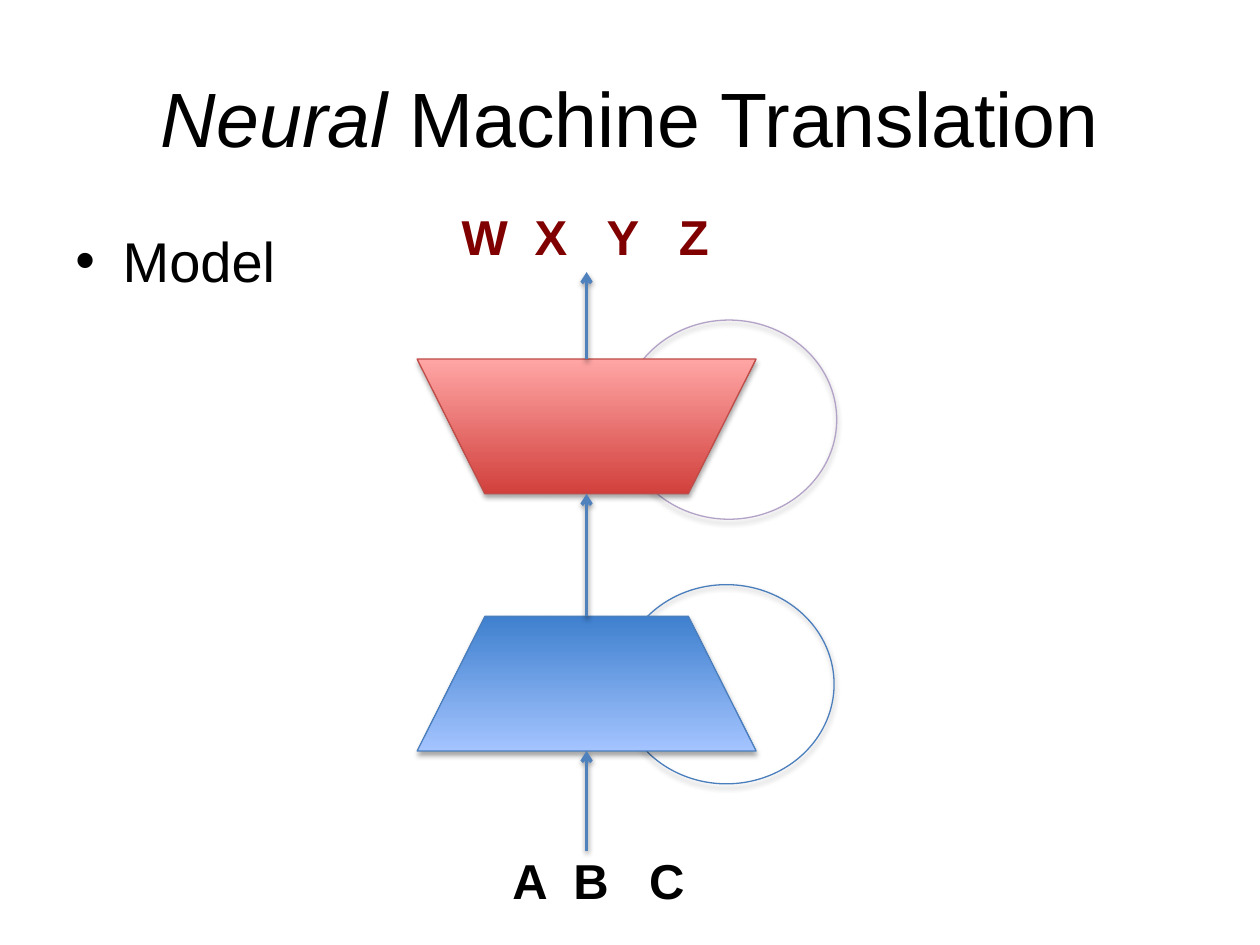
from typing import NamedTuple

from lxml.etree import SubElement as Sub
from pptx import Presentation
from pptx.dml.color import RGBColor
from pptx.enum.shapes import MSO_CONNECTOR as Line, MSO_SHAPE as Kind
from pptx.enum.text import MSO_ANCHOR as Anchor, PP_ALIGN as Align
from pptx.oxml.ns import qn
from pptx.util import Pt

BLACK = RGBColor(0x00, 0x00, 0x00)
MAROON = RGBColor(0x80, 0x00, 0x00)
BLUE = RGBColor(0x4B, 0x7E, 0xBC)
RED = RGBColor(0xBF, 0x4C, 0x48)
LILAC = RGBColor(0xB3, 0xA2, 0xC7)
STEEL = RGBColor(0x4F, 0x81, 0xBD)
BLUES = (RGBColor(0x3F, 0x80, 0xCE), RGBColor(0xA4, 0xC4, 0xFF))
REDS = (RGBColor(0xD1, 0x40, 0x3C), RGBColor(0xFF, 0xA6, 0xA5))

MID = 335.2
WIDE, HIGH = 193.7, 77.0
RED_TOP, BLUE_TOP = 205.2, 352.1


class Box(NamedTuple):
    left: float
    top: float
    width: float
    height: float

    def pts(self) -> list:
        return [Pt(v) for v in self]


class Loop(NamedTuple):
    box: Box
    line: RGBColor


class Coder(NamedTuple):
    top: float
    line: RGBColor
    grad: tuple
    turn: int


class Arrow(NamedTuple):
    start: float
    end: float


class Label(NamedTuple):
    text: str
    box: Box
    inset: float
    tabs: tuple
    color: RGBColor


LOOPS = [
    Loop(Box(355, 182.9, 123.1, 113.8), LILAC),
    Loop(Box(353.5, 334.1, 123.1, 113.8), BLUE),
]
CODERS = [
    Coder(BLUE_TOP, BLUE, BLUES, 180),
    Coder(RED_TOP, RED, REDS, 0),
]
LABELS = [
    Label("A\tB\tC", Box(268.6, 482.4, 146.9, 41), 24.2, (34.8, 78.2), BLACK),
    Label("W\tX\tY\tZ", Box(192.2, 114.5, 285.1, 41), 71.7,
          (41.6, 82.8, 124.1), MAROON),
]


def shade(shape, alpha: int = 35, dist: float = 1.8) -> None:
    """Give a shape a soft shadow that falls straight down."""
    root = Sub(shape._element.spPr, qn("a:effectLst"))
    drop = Sub(root, qn("a:outerShdw"), blurRad=str(Pt(3.1)),
               dist=str(Pt(dist)), dir="5400000", rotWithShape="0")
    tint = Sub(drop, qn("a:srgbClr"), val="000000")
    Sub(tint, qn("a:alpha"), val=str(alpha * 1000))


def write(slide, box: Box, runs: list, *, size: float, color=BLACK,
          bold=False, align=Align.LEFT, anchor=Anchor.TOP, inset=7.2,
          tabs=(), hang=0.0) -> None:
    """Add one paragraph of (text, italic) runs; hang makes it a bullet."""
    frame = slide.shapes.add_textbox(*box.pts()).text_frame
    frame.word_wrap = True
    frame.vertical_anchor = anchor
    frame.margin_left = Pt(inset)
    para = frame.paragraphs[0]
    para.alignment = align
    props = para._p.get_or_add_pPr()
    if hang:
        props.set("marL", str(Pt(hang)))
        props.set("indent", str(-Pt(hang)))
        Sub(props, qn("a:buFont"), typeface="Arial")
        Sub(props, qn("a:buChar"), char="•")
    if tabs:
        stops = Sub(props, qn("a:tabLst"))
        for pos in tabs:
            Sub(stops, qn("a:tab"), pos=str(Pt(pos)), algn="l")
    for text, slant in runs:
        run = para.add_run()
        run.text = text
        font = run.font
        font.name, font.size = "Arial", Pt(size)
        font.bold, font.italic = bold, slant
        font.color.rgb = color


def outline(shape, color: RGBColor, width: float = 0.75) -> None:
    shape.line.color.rgb = color
    shape.line.width = Pt(width)


def draw_loop(slide, loop: Loop) -> None:
    shape = slide.shapes.add_shape(Kind.OVAL, *loop.box.pts())
    shape.fill.background()
    outline(shape, loop.line)
    shade(shape)


def draw_coder(slide, coder: Coder):
    box = Box(MID - WIDE / 2, coder.top, WIDE, HIGH)
    shape = slide.shapes.add_shape(Kind.FLOWCHART_MANUAL_OPERATION, *box.pts())
    shape.rotation = coder.turn
    shape.fill.gradient()
    shape.fill.gradient_angle = 90
    for stop, color in zip(shape.fill.gradient_stops, coder.grad):
        stop.color.rgb = color
    outline(shape, coder.line)
    shade(shape)
    return shape


def draw_arrow(slide, arrow: Arrow):
    line = slide.shapes.add_connector(
        Line.STRAIGHT, Pt(MID), Pt(arrow.start), Pt(MID), Pt(arrow.end))
    outline(line, STEEL, 2)
    Sub(line.line._get_or_add_ln(), qn("a:tailEnd"), type="arrow")
    shade(line, 38, 1.6)
    return line


def main() -> None:
    deck = Presentation()
    deck.slide_width, deck.slide_height = Pt(720), Pt(540)
    slide = deck.slides.add_slide(deck.slide_layouts[6])

    for loop in LOOPS:
        draw_loop(slide, loop)
    write(slide, Box(36, 21.6, 648, 90),
          [("Neural ", True), ("Machine Translation", False)],
          size=44, align=Align.CENTER, anchor=Anchor.MIDDLE)
    write(slide, Box(36, 126, 648, 356.4), [("Model", False)],
          size=32, hang=27)

    _, top = [draw_coder(slide, coder) for coder in CODERS]
    link = draw_arrow(slide, Arrow(BLUE_TOP, RED_TOP + HIGH))
    link.end_connect(top, 2)
    draw_arrow(slide, Arrow(486, BLUE_TOP + HIGH))
    out = draw_arrow(slide, Arrow(RED_TOP, 155.5))
    out.begin_connect(top, 0)

    for label in LABELS:
        write(slide, label.box, [(label.text, False)], size=28, bold=True,
              color=label.color, inset=label.inset, tabs=label.tabs)
    deck.save("out.pptx")


if __name__ == "__main__":
    main()
